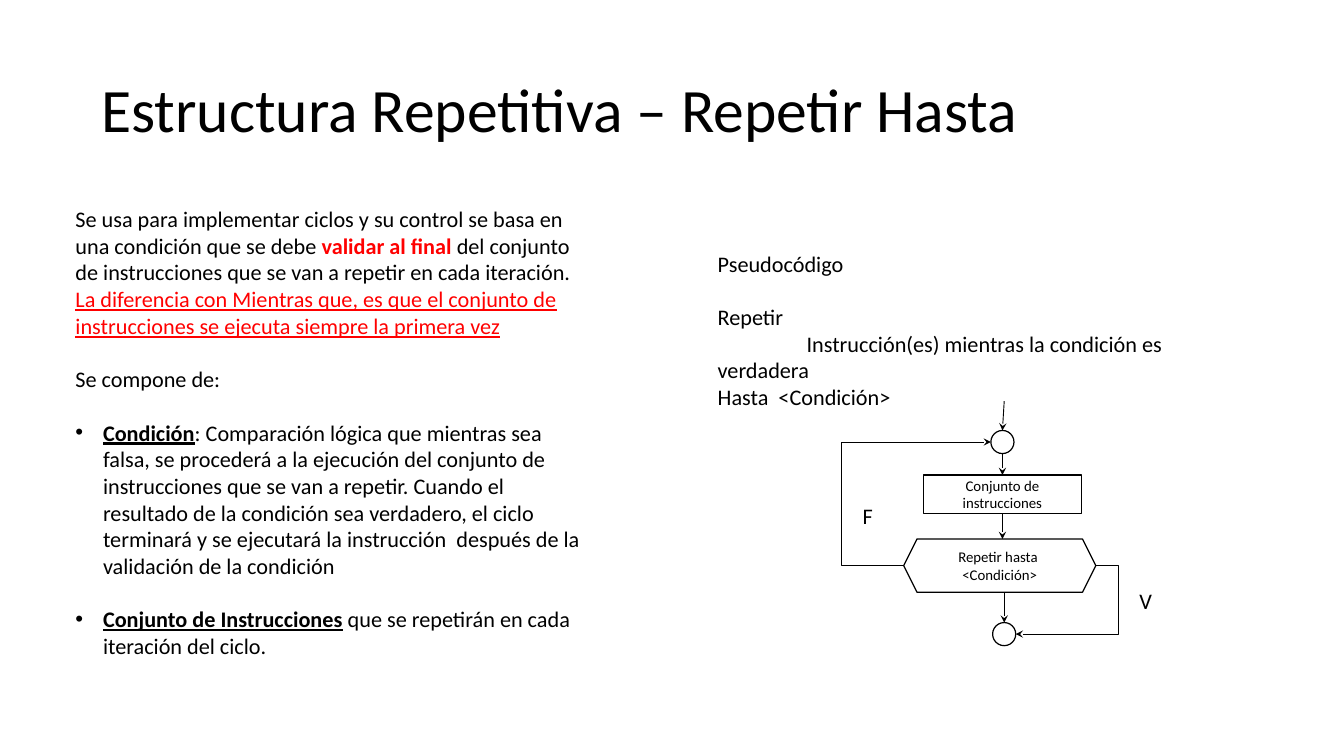
from pptx import Presentation
from pptx.dml.color import RGBColor
from pptx.enum.shapes import MSO_CONNECTOR, MSO_SHAPE
from pptx.enum.text import MSO_ANCHOR, PP_ALIGN
from pptx.oxml.ns import qn
from pptx.util import Pt
from lxml import etree

PX = 9144  # EMU, 100 px to the inch
FONT = "Calibri"
BLACK, RED, WHITE = "000000", "FF0000", "FFFFFF"
BODY_SIZE, STEP_SIZE, TITLE_SIZE = 18, 12, 49.9
BLANK_LINE = Pt(21.6)
BULLET_INDENT = 31
TOP, BOTTOM = 0, 2
STRAIGHT, ELBOW = MSO_CONNECTOR.STRAIGHT, MSO_CONNECTOR.ELBOW
RECTANGLE, HEXAGON, OVAL = MSO_SHAPE.RECTANGLE, MSO_SHAPE.HEXAGON, MSO_SHAPE.OVAL
MIDDLE, CENTER = MSO_ANCHOR.MIDDLE, PP_ALIGN.CENTER

TITLE = "Estructura Repetitiva – Repetir Hasta"
# Each span is (text, colour, bold, underline).
INTRO = [
    ("Se usa para implementar ciclos y su control se basa en una condición "
     "que se debe ", BLACK, False, False),
    ("validar al final", RED, True, False),
    (" del conjunto de instrucciones que se van a repetir en cada iteración. ",
     BLACK, False, False),
    ("La diferencia con Mientras que, es que el conjunto de instrucciones se "
     "ejecuta siempre la primera vez", RED, False, True),
]
PARTS_HEADING = "Se compone de:"
PARTS = [
    ("Condición",
     ": Comparación lógica que mientras sea  falsa, se procederá a la ejecución "
     "del conjunto de instrucciones que se van a repetir. Cuando el resultado de "
     "la condición sea verdadero, el ciclo terminará y se ejecutará la "
     "instrucción  después de la validación de la condición"),
    ("Conjunto de Instrucciones", " que se repetirán en cada iteración del ciclo."),
]
# Each line is (text, space before, first-line indent in px).
PSEUDOCODE = [
    ("Pseudocódigo", 0, 0),
    ("Repetir", BLANK_LINE, 0),
    ("Instrucción(es) mientras la condición es verdadera", 0, 100),
    ("Hasta  <Condición>", 0, 0),
]


def color(value):
    return RGBColor.from_string(value)


def emu(*lengths):
    return [length * PX for length in lengths]


def set_font(para, size):
    para.font.name = FONT
    para.font.size = Pt(size)
    para.font.color.rgb = color(BLACK)


def add_text_frame(page, left, top, width, height):
    frame = page.shapes.add_textbox(*emu(left, top, width, height)).text_frame
    frame.word_wrap = True
    return frame


def add_para(frame, first=False, size=BODY_SIZE, space_before=0):
    para = frame.paragraphs[0] if first else frame.add_paragraph()
    para.space_before = space_before
    set_font(para, size)
    return para


def add_span(para, text, ink=BLACK, bold=False, underline=False):
    span = para.add_run()
    span.text = text
    span.font.color.rgb = color(ink)
    span.font.bold = bold
    span.font.underline = underline


def set_indent(para, margin, first_line):
    properties = para._p.get_or_add_pPr()
    properties.set("marL", str(margin * PX))
    properties.set("indent", str(first_line * PX))
    return properties


def add_title(page, left, top, width, height):
    frame = add_text_frame(page, left, top, width, height)
    frame.vertical_anchor = MIDDLE
    para = add_para(frame, first=True, size=TITLE_SIZE)
    para.line_spacing = 0.9
    para.text = TITLE


def add_explanation(page, left, top, width, height):
    frame = add_text_frame(page, left, top, width, height)
    intro = add_para(frame, first=True)
    for span in INTRO:
        add_span(intro, *span)
    add_para(frame, space_before=BLANK_LINE).text = PARTS_HEADING
    for term, meaning in PARTS:
        para = add_para(frame, space_before=BLANK_LINE)
        properties = set_indent(para, BULLET_INDENT, -BULLET_INDENT)
        etree.SubElement(properties, qn("a:buFont")).set("typeface", "Arial")
        etree.SubElement(properties, qn("a:buChar")).set("char", "•")
        add_span(para, term, bold=True, underline=True)
        add_span(para, meaning)


def add_pseudocode(page, left, top, width, height):
    frame = add_text_frame(page, left, top, width, height)
    for index, (text, gap, first_line) in enumerate(PSEUDOCODE):
        para = add_para(frame, first=index == 0, space_before=gap)
        set_indent(para, 0, first_line)
        para.text = text


def add_node(page, kind, left, top, width, height, text=""):
    node = page.shapes.add_shape(kind, *emu(left, top, width, height))
    node.shadow.inherit = False
    node.line.color.rgb = color(BLACK)
    node.line.width = Pt(1)
    if text:
        node.fill.background()
        node.text_frame.word_wrap = True
        node.text_frame.vertical_anchor = MIDDLE
        para = add_para(node.text_frame, first=True, size=STEP_SIZE)
        para.alignment = CENTER
        para.text = text
    else:
        node.fill.solid()
        node.fill.fore_color.rgb = color(WHITE)
    return node


def add_arrow(page, start, end, bend=None):
    """Draw an arrow; bend is the px from start to an elbow's vertical leg."""
    kind = STRAIGHT if bend is None else ELBOW
    arrow = page.shapes.add_connector(kind, *emu(*start, *end))
    arrow.line.color.rgb = color(BLACK)
    arrow.line.width = Pt(0.75)
    etree.SubElement(arrow.line._get_or_add_ln(), qn("a:tailEnd")).set("type", "stealth")
    properties = arrow._element.spPr
    etree.SubElement(properties, qn("a:effectLst"))
    if bend is not None:
        share = round(bend / (end[0] - start[0]) * 100000)
        guide = etree.SubElement(properties.find(".//" + qn("a:avLst")), qn("a:gd"))
        guide.set("name", "adj1")
        guide.set("fmla", f"val {share}")
    return arrow


def add_flowchart(page, left, top):
    dot = 26
    axis, exit_axis = left + 181, left + 183
    entry_y, step_y, test_y, exit_y = top + 33, top + 83, top + 155, top + 249
    step_width, step_height, test_width, test_height = 178, 43, 216, 60
    test_left, test_middle = left + 70, test_y + test_height // 2
    test_right = test_left + test_width

    add_node(page, HEXAGON, test_left, test_y, test_width, test_height,
             "Repetir hasta  <Condición>")
    step = add_node(page, RECTANGLE, axis - step_width // 2, step_y,
                    step_width, step_height, "Conjunto de instrucciones")
    for x, y in ((axis, entry_y), (exit_axis, exit_y)):
        add_node(page, OVAL, x - dot // 2, y, dot, dot)

    for text, x, y in (("V", 325, 204), ("F", 14, 109)):
        frame = add_text_frame(page, left + x, top + y, 35, 40)
        add_para(frame, first=True).text = text

    add_arrow(page, (exit_axis, top), (axis, entry_y))
    into_step = add_arrow(page, (axis, entry_y + dot), (axis, step_y))
    into_step.end_connect(step, TOP)
    out_of_step = add_arrow(page, (axis, step_y + step_height), (axis, test_y))
    out_of_step.begin_connect(step, BOTTOM)
    add_arrow(page, (exit_axis, test_y + test_height), (exit_axis, exit_y))
    add_arrow(page, (test_left, test_middle),
              (axis - dot // 2, entry_y + dot // 2), bend=-70)
    add_arrow(page, (test_right, test_middle),
              (exit_axis + dot // 2, exit_y + dot // 2), bend=25)


def main():
    deck = Presentation()
    deck.slide_width, deck.slide_height = emu(1511, 850)
    page = deck.slides.add_slide(deck.slide_layouts[6])
    add_title(page, 104, 45, 1303, 164)
    add_explanation(page, 75, 226, 591, 525)
    add_pseudocode(page, 797, 276, 591, 222)
    add_flowchart(page, 946, 451)
    deck.save("out.pptx")


if __name__ == "__main__":
    main()
